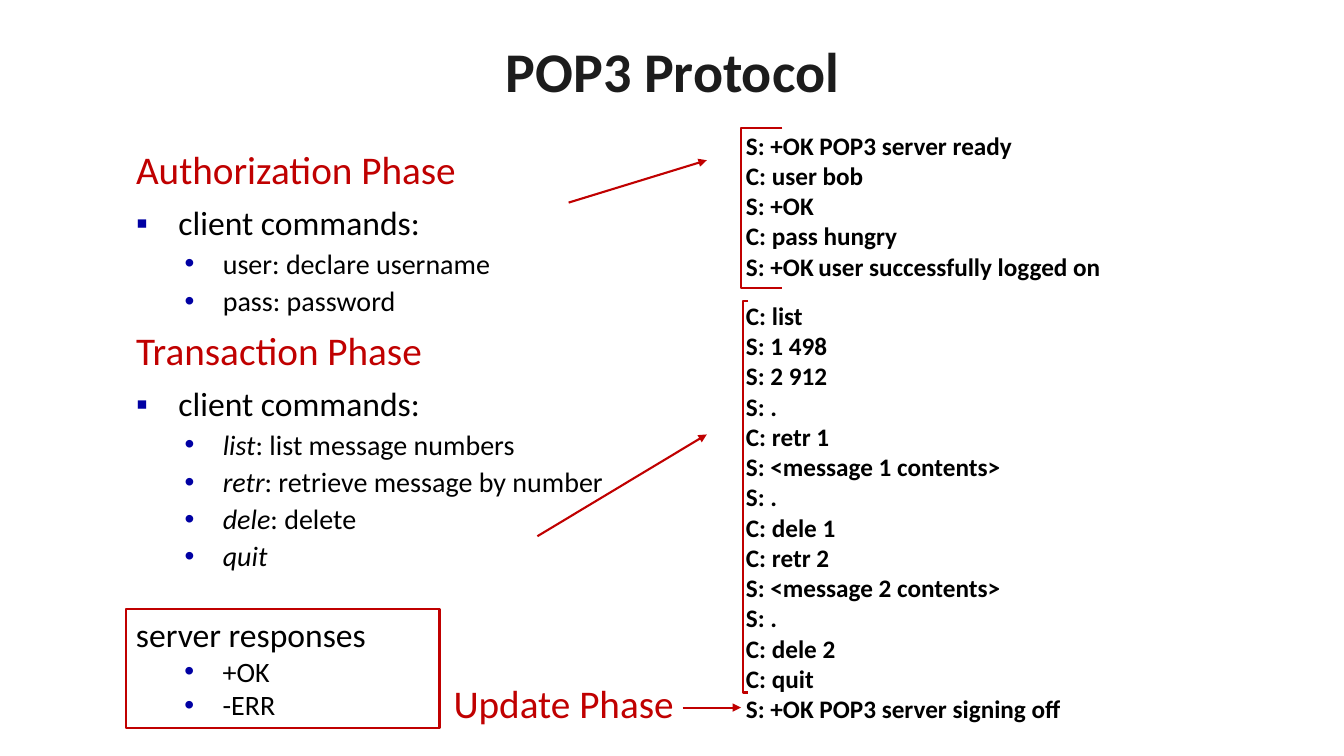
from dataclasses import dataclass

from lxml.etree import SubElement
from pptx import Presentation
from pptx.dml.color import RGBColor
from pptx.enum.shapes import MSO_CONNECTOR, MSO_SHAPE
from pptx.enum.text import MSO_ANCHOR, MSO_AUTO_SIZE, PP_ALIGN
from pptx.oxml.ns import qn
from pptx.util import Inches, Pt


@dataclass(frozen=True)
class Theme:
    font: str = "Calibri"
    accent: str = "C00000"
    ink: str = "000000"
    title_ink: str = "1C1C1C"
    bullet: str = "0000A3"
    title: int = 40
    heading: int = 28
    body: int = 24
    detail: int = 20
    code: int = 18
    small: int = 14
    line: float = 1.5


THEME = Theme()
SQUARE = dict(bullet="▪", margin=0.42, hang=0.42)
DOT = dict(bullet="•", margin=0.86, hang=0.38, level=1)

PHASES = [
    ("Authorization Phase", [("user", ": declare username"), ("pass", ": password")], False),
    ("Transaction Phase", [("list", ": list message numbers"),
                           ("retr", ": retrieve message by number"),
                           ("dele", ": delete"), ("quit", "")], True),
]
LOGIN = ["S: +OK POP3 server ready", "C: user bob", "S: +OK", "C: pass hungry",
         [("S: +OK", {}), (" ", dict(size=THEME.small)), ("user successfully logged on", {})]]
SESSION = ["C: list", "S: 1 498", "S: 2 912", "S: .", "C: retr 1",
           "S: <message 1 contents>", "S: .", "C: dele 1", "C: retr 2",
           "S: <message 2 contents>", "S: .", "C: dele 2", "C: quit",
           "S: +OK POP3 server signing off"]


def write(frame, text, *, size, color=THEME.ink, bold=False, align=PP_ALIGN.LEFT,
          spacing=None, before=0, level=0, bullet=None, margin=0, hang=0):
    """Add a paragraph; text is a string or a list of (string, run overrides)."""
    first = frame.paragraphs[0]
    paragraph = frame.add_paragraph() if first.runs else first
    paragraph.alignment, paragraph.level = align, level
    paragraph.space_before = Pt(before)
    if spacing:
        paragraph.line_spacing = spacing
    properties = paragraph._p.get_or_add_pPr()
    properties.set("marL", str(Inches(margin)))
    properties.set("indent", str(-Inches(hang)))
    if bullet:
        bullet_color = SubElement(properties, qn("a:buClr"))
        SubElement(bullet_color, qn("a:srgbClr"), val=THEME.bullet)
        SubElement(properties, qn("a:buFont"), typeface="Arial")
        SubElement(properties, qn("a:buChar"), char=bullet)
    else:
        SubElement(properties, qn("a:buNone"))
    for words, changes in [(text, {})] if isinstance(text, str) else text:
        run = paragraph.add_run()
        run.text = words
        font = run.font
        font.name, font.bold = THEME.font, bold
        font.size = Pt(changes.get("size", size))
        font.italic = changes.get("italic", False)
        font.color.rgb = RGBColor.from_string(color)


def place(shape, box):
    shape.left, shape.top, shape.width, shape.height = map(Inches, box)


def text_box(slide, box):
    frame = slide.shapes.add_textbox(*map(Inches, box)).text_frame
    frame.word_wrap = False
    return frame


def outline(shape):
    shape.line.color.rgb = RGBColor.from_string(THEME.accent)
    shape.line.width = Pt(THEME.line)


def add_title(slide, box):
    title = slide.shapes.title
    place(title, box)
    frame = title.text_frame
    frame.vertical_anchor = MSO_ANCHOR.MIDDLE
    write(frame, "POP3 Protocol", size=THEME.title, color=THEME.title_ink,
          bold=True, align=PP_ALIGN.CENTER, spacing=0.8)


def add_phases(slide, box):
    body = slide.placeholders[1]
    place(body, box)
    frame = body.text_frame
    frame.auto_size = MSO_AUTO_SIZE.NONE
    frame.vertical_anchor = MSO_ANCHOR.TOP
    common = dict(align=PP_ALIGN.JUSTIFY, spacing=0.9)
    for phase, commands, italic in PHASES:
        write(frame, phase, size=THEME.heading, color=THEME.accent, before=10, **common)
        write(frame, "client commands:", size=THEME.body, before=10, **SQUARE, **common)
        for command, meaning in commands:
            runs = [(command, dict(italic=italic))] + ([(meaning, {})] if meaning else [])
            write(frame, runs, size=THEME.detail, before=5, **DOT, **common)


def add_responses(slide, box):
    responses = slide.shapes.add_shape(MSO_SHAPE.RECTANGLE, *map(Inches, box))
    responses.shadow.inherit = False
    responses.fill.background()
    outline(responses)
    frame = responses.text_frame
    frame.word_wrap = True
    frame.vertical_anchor = MSO_ANCHOR.TOP
    write(frame, "server responses", size=THEME.body)
    for code in ("+OK", "-ERR"):
        write(frame, code, size=THEME.detail, **DOT)


def add_bracket(slide, box):
    left, top, width, height = map(Inches, box)
    builder = slide.shapes.build_freeform(left + width, top)
    builder.add_line_segments([(left, top), (left, top + height),
                               (left + width, top + height)], close=False)
    bracket = builder.convert_to_shape()
    bracket.shadow.inherit = False
    bracket.fill.background()
    outline(bracket)


def add_transcript(slide, box, lines, bracket):
    """Write the dialogue lines in box, with a bracket placed from its corner."""
    frame = text_box(slide, box)
    for line in lines:
        write(frame, line, size=THEME.code, bold=True)
    dx, dy, width, height = bracket
    add_bracket(slide, (box[0] + dx, box[1] + dy, width, height))


def add_arrow(slide, start, end):
    arrow = slide.shapes.add_connector(MSO_CONNECTOR.STRAIGHT, *map(Inches, start + end))
    outline(arrow)
    SubElement(arrow.line._get_or_add_ln(), qn("a:tailEnd"), type="triangle")
    SubElement(arrow._element.spPr, qn("a:effectLst"))


def add_update_phase(slide, box):
    left, top, width, _ = box
    write(text_box(slide, box), "Update Phase", size=THEME.heading, color=THEME.accent)
    right, middle = left + width, top + 0.33
    add_arrow(slide, (right - 0.04, middle), (right + 0.54, middle))


def main():
    deck = Presentation()
    deck.slide_width, deck.slide_height = Inches(13.33), Inches(7.5)
    slide = deck.slides.add_slide(deck.slide_layouts[1])
    add_title(slide, (0.37, 0.29, 12.6, 0.94))
    add_phases(slide, (1.25, 1.44, 11.04, 5.77))
    add_transcript(slide, (7.3, 1.24, 3.74, 1.62), LOGIN, (0.05, 0.03, 0.41, 1.59))
    add_transcript(slide, (7.3, 2.93, 3.37, 4.37), SESSION, (0.07, 0.06, 0.05, 3.88))
    add_arrow(slide, (5.64, 2.01), (7.01, 1.59))
    add_arrow(slide, (5.33, 5.32), (7.01, 4.31))
    add_update_phase(slide, (4.4, 6.69, 2.41, 0.57))
    add_responses(slide, (1.25, 6.04, 3.11, 1.18))
    deck.save("out.pptx")


if __name__ == "__main__":
    main()
